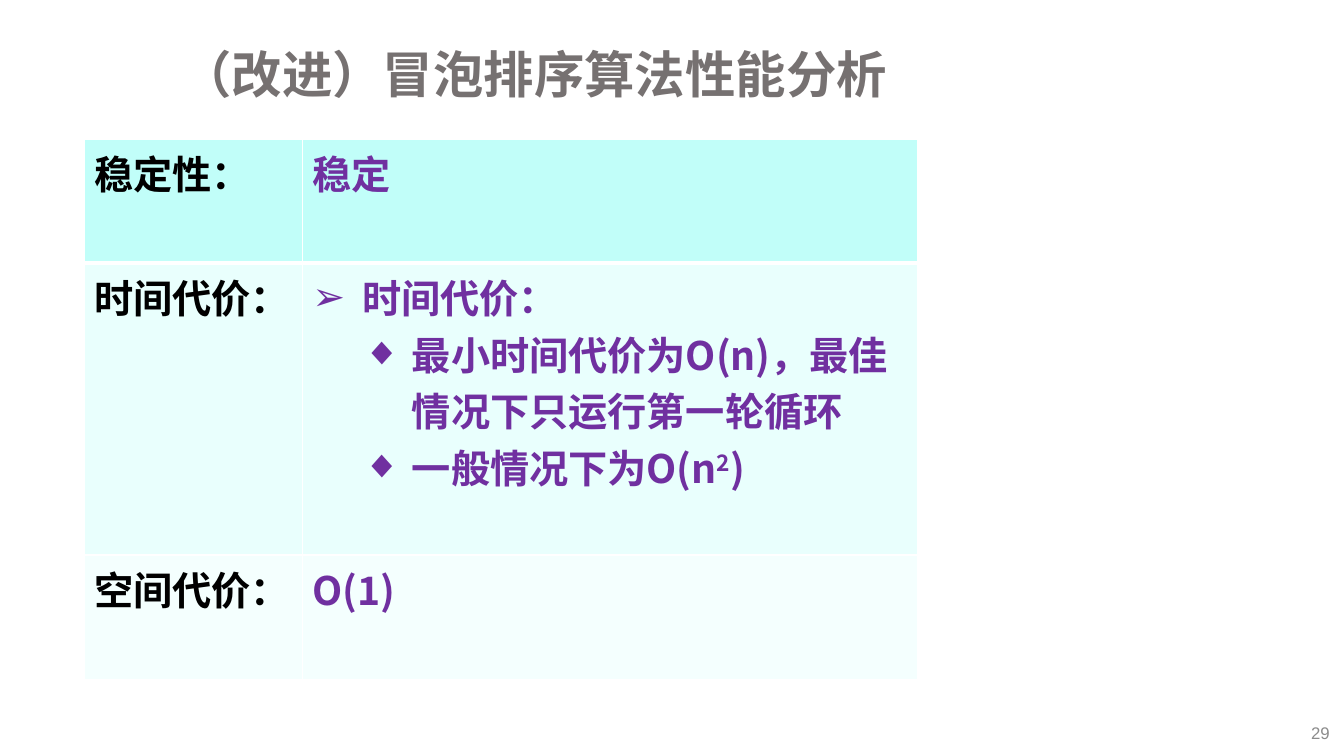
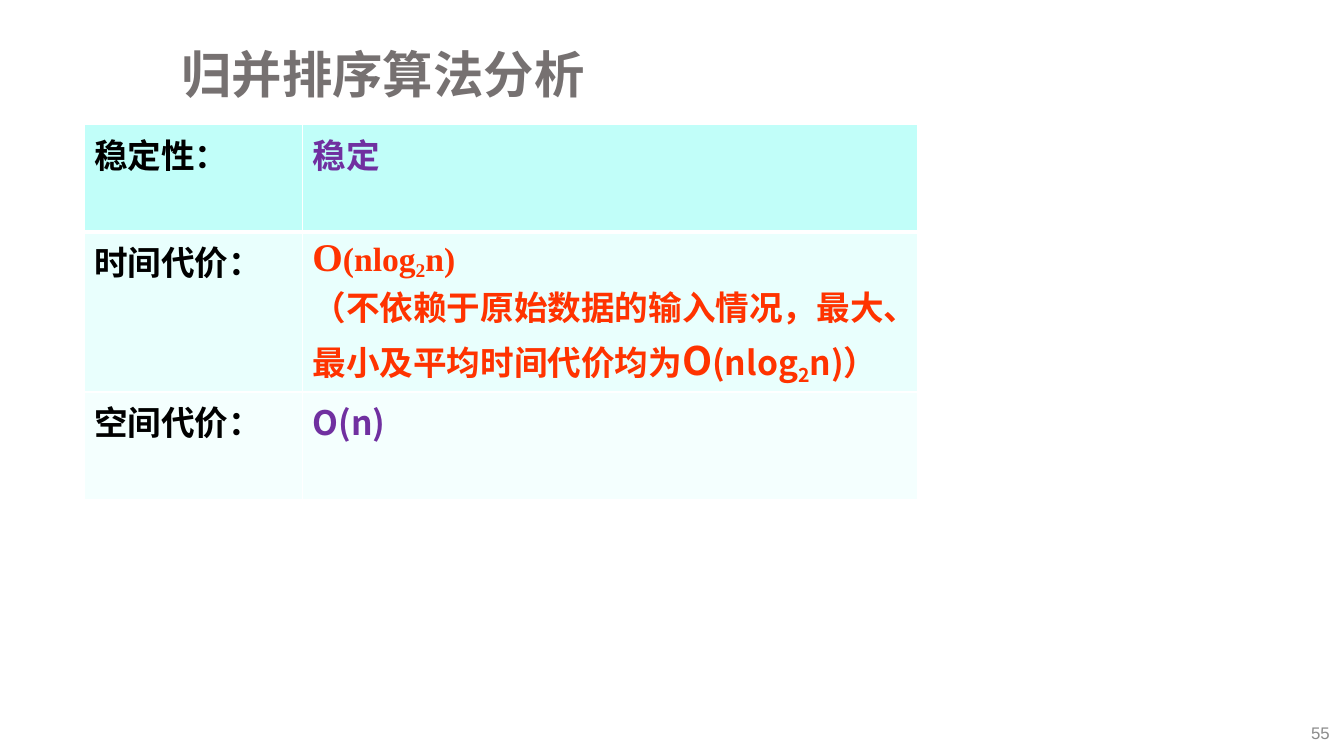
from dataclasses import dataclass

from lxml.etree import SubElement
from pptx import Presentation
from pptx.dml.color import RGBColor
from pptx.enum.text import MSO_ANCHOR, PP_ALIGN
from pptx.oxml.ns import qn
from pptx.util import Pt


@dataclass(frozen=True)
class Theme:
    title: str = "767171"
    footer: str = "8C8C8C"
    label: str = "000000"
    answer: str = "7030A0"
    alert: str = "FF3300"
    border: str = "FFFFFF"
    row_fills: tuple = ("C1FEF9", "E9FFFD", "F4FFFE")
    cjk_font: str = "Noto Sans CJK SC"
    latin_font: str = "Arial"
    label_font: str = "Arial Narrow"
    serif_font: str = "Times New Roman"
    title_size: int = 36
    large: int = 28
    medium: int = 24
    footer_size: int = 12


THEME = Theme()

# Content: a paragraph is (bullet level or None, [(text, format changes), ...])
SUPER, SUB = {"baseline": 30}, {"baseline": -18}
BIG = {"size": THEME.large}
SERIF = {"font": THEME.serif_font}
LABELS = ("稳定性：", "时间代价：", "空间代价：")


def plain(text):
    return [(None, [(text, {})])]


SLIDES = [
    {
        "title": "（改进）冒泡排序算法性能分析",
        "number": "29",
        "top": 99.5,
        "row_heights": (88.5, 208.5, 89),
        "size": THEME.large,
        "time_color": THEME.answer,
        "answers": (
            plain("稳定"),
            [
                (0, [("时间代价：", {})]),
                (1, [("最小时间代价为O(n)，最佳情况下只运行第一轮循环", {})]),
                (1, [("一般情况下为O(n", {}), ("2", SUPER), (")", {})]),
            ],
            plain("O(1)"),
        ),
    },
    {
        "title": "归并排序算法分析",
        "number": "55",
        "top": 89,
        "row_heights": (76.5, 114.5, 77),
        "size": THEME.medium,
        "time_color": THEME.alert,
        "answers": (
            plain("稳定"),
            [
                (None, [("O", SERIF | BIG), ("(nlog", SERIF),
                        ("2", SERIF | SUB), ("n)", SERIF)]),
                (None, [("（不依赖于原始数据的输入情况，最大、最小及平均时间代价均为", {}),
                        ("O", BIG), ("(nlog", {}), ("2", SUB), ("n)）", {})]),
            ],
            plain("O(n)"),
        ),
    },
]

# Layout, in points
PAGE_SIZE = (960, 540)
TITLE_AREA = (122.4, 24.5, 810, 61)
NUMBER_AREA = (741, 512.5, 216, 22.5)
TABLE_LEFT = 60
COLUMN_WIDTHS = (156, 439.5)
BULLETS = ("➢", "◆")
BULLET_INDENT = 35.5


def add_span(para, text, style):
    span = para.add_run()
    span.text = text
    values = {"name": style["font"], "size": Pt(style["size"]), "bold": style["bold"]}
    for name, value in values.items():
        setattr(span.font, name, value)
    span.font.color.rgb = RGBColor.from_string(style["color"])
    properties = span.font._element
    SubElement(properties, qn("a:ea")).set("typeface", THEME.cjk_font)
    if "baseline" in style:
        properties.set("baseline", str(style["baseline"] * 1000))


def add_bullet(para, level):
    properties = para._p.get_or_add_pPr()
    properties.set("marL", str(Pt(BULLET_INDENT * (level + 1))))
    properties.set("indent", str(-Pt(BULLET_INDENT)))
    SubElement(properties, qn("a:buFont")).set("typeface", THEME.latin_font)
    SubElement(properties, qn("a:buChar")).set("char", BULLETS[level])
    para.level = level


def write(frame, paragraphs, style):
    for index, (level, spans) in enumerate(paragraphs):
        para = frame.add_paragraph() if index else frame.paragraphs[0]
        if level is not None:
            add_bullet(para, level)
        for text, changes in spans:
            add_span(para, text, style | changes)


def add_text(page, area, text, style, paragraph_format):
    box = page.shapes.add_textbox(*map(Pt, area))
    frame = box.text_frame
    frame.word_wrap = True
    frame.vertical_anchor = MSO_ANCHOR.MIDDLE
    write(frame, plain(text), style)
    for name, value in paragraph_format.items():
        setattr(frame.paragraphs[0], name, value)


def set_borders(cell, row):
    # A thick rule separates the first row from the rest
    widths = {"L": 1, "R": 1, "T": 3 if row == 1 else 1, "B": 3 if row == 0 else 1}
    for side, width in widths.items():
        line = SubElement(cell._tc.get_or_add_tcPr(), qn(f"a:ln{side}"), w=str(Pt(width)))
        fill = SubElement(line, qn("a:solidFill"))
        SubElement(fill, qn("a:srgbClr")).set("val", THEME.border)


def add_analysis_table(page, content):
    heights = content["row_heights"]
    table = page.shapes.add_table(
        len(heights), len(COLUMN_WIDTHS), Pt(TABLE_LEFT), Pt(content["top"]),
        Pt(sum(COLUMN_WIDTHS)), Pt(sum(heights)),
    ).table
    for column, width in zip(table.columns, COLUMN_WIDTHS):
        column.width = Pt(width)

    base = {"size": content["size"], "bold": True}
    label_style = base | {"font": THEME.label_font, "color": THEME.label}
    answer_colors = (THEME.answer, content["time_color"], THEME.answer)
    for row, height in enumerate(heights):
        table.rows[row].height = Pt(height)
        answer_style = base | {"font": THEME.cjk_font, "color": answer_colors[row]}
        cells = ((plain(LABELS[row]), label_style),
                 (content["answers"][row], answer_style))
        for column, (paragraphs, style) in enumerate(cells):
            cell = table.cell(row, column)
            set_borders(cell, row)
            cell.fill.solid()
            cell.fill.fore_color.rgb = RGBColor.from_string(THEME.row_fills[row])
            write(cell.text_frame, paragraphs, style)


def main():
    deck = Presentation()
    deck.slide_width, deck.slide_height = map(Pt, PAGE_SIZE)
    title_style = {"font": THEME.latin_font, "size": THEME.title_size,
                   "bold": True, "color": THEME.title}
    number_style = {"font": THEME.latin_font, "size": THEME.footer_size,
                    "bold": False, "color": THEME.footer}
    for content in SLIDES:
        page = deck.slides.add_slide(deck.slide_layouts[6])
        add_text(page, TITLE_AREA, content["title"], title_style, {"line_spacing": 0.9})
        add_text(page, NUMBER_AREA, content["number"], number_style,
                 {"alignment": PP_ALIGN.RIGHT})
        add_analysis_table(page, content)
    deck.save("out.pptx")


if __name__ == "__main__":
    main()
